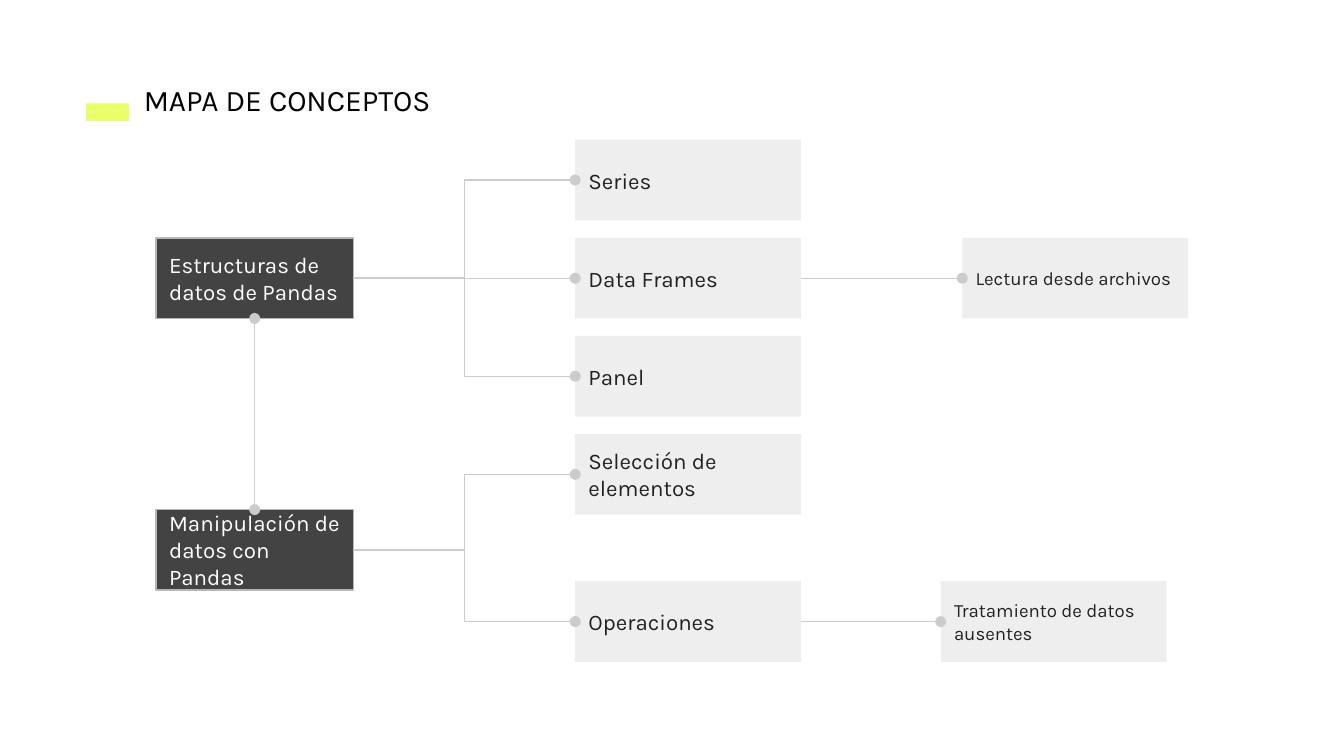
from collections import namedtuple

from lxml import etree
from pptx import Presentation
from pptx.dml.color import RGBColor
from pptx.enum import shapes, text
from pptx.oxml import ns
from pptx import util as u

Box = namedtuple("Box", "left top width height")

COLORS = {
    "accent": "EAFF6A",
    "title": "000000",
    "root": "434343",
    "root_line": "B7B7B7",
    "root_text": "FFFFFF",
    "node": "EEEEEE",
    "node_text": "222222",
    "link": "CCCCCC",
}
FONT = "Karla"
SLIDE_WIDTH = 10
SLIDE_HEIGHT = SLIDE_WIDTH * 9 / 16
HEADER = Box(0.64, 0.51, 3.02, 0.47)
MAP = Box(1.16, 1.04, 7.68, 3.88)
ROW_STEP = 0.73
NODE_HEIGHT = 0.6
ROOT_WIDTH, NODE_WIDTH = 1.47, 1.68
ROOT_COLUMN, TOPIC_COLUMN = 0, 3.12
TOP, LEFT, BOTTOM, RIGHT = range(4)

BRANCHES = [
    ("Estructuras de datos de Pandas", 1,
     [("Series", 0), ("Data Frames", 1), ("Panel", 2)]),
    ("Manipulación de datos con Pandas", 3.77,
     [("Selección de elementos", 3), ("Operaciones", 4.5)]),
]
DETAILS = [
    ("Data Frames", "Lectura desde archivos", 6, 1),
    ("Operaciones", "Tratamiento de datos ausentes", 5.84, 4.5),
]


def color(name):
    """Return the palette colour with this name."""
    return RGBColor.from_string(COLORS[name])


def place(shape, box):
    """Move and size a shape to a box in inches."""
    shape.left, shape.top, shape.width, shape.height = map(u.Inches, box)


def write(shape, words, size, ink, anchor=text.MSO_ANCHOR.MIDDLE):
    """Write one left-aligned paragraph into a shape."""
    frame = shape.text_frame
    frame.word_wrap = True
    frame.vertical_anchor = anchor
    frame.margin_left = frame.margin_right = u.Inches(0.1)
    frame.margin_top = frame.margin_bottom = u.Inches(0.1)
    para = frame.paragraphs[0]
    para.alignment = text.PP_ALIGN.LEFT
    span = para.add_run()
    span.text = words
    span.font.name = FONT
    span.font.size = u.Pt(size)
    span.font.color.rgb = color(ink)


def add_block(page, box, fill, line=None):
    """Add a flat rectangle with an optional outline."""
    block = page.shapes.add_shape(shapes.MSO_SHAPE.RECTANGLE, *map(u.Inches, box))
    block.shadow.inherit = False
    block.fill.solid()
    block.fill.fore_color.rgb = color(fill)
    if line:
        block.line.color.rgb = color(line)
        block.line.width = u.Pt(0.75)
    else:
        block.line.fill.background()
    return block


def add_link(page, start, start_site, end, end_site, kind, ends=("tailEnd",)):
    """Join two blocks with a line that has round ends."""
    link = page.shapes.add_connector(kind, 0, 0, 0, 0)
    link.begin_connect(start, start_site)
    link.end_connect(end, end_site)
    link.line.color.rgb = color("link")
    link.line.width = u.Pt(0.75)
    outline = link.line._get_or_add_ln()
    for end_name in ends:
        etree.SubElement(outline, ns.qn(f"a:{end_name}"), type="oval")
    etree.SubElement(link._element.spPr, ns.qn("a:effectLst"))


def draw_header(page, box):
    """Place the accent bar and the title."""
    add_block(page, Box(box.left, box.top + 0.26, 0.32, 0.13), "accent")
    title = page.shapes.title
    place(title, Box(box.left + 0.33, box.top, box.width - 0.33, box.height))
    write(title, "MAPA DE CONCEPTOS", 16, "title", text.MSO_ANCHOR.TOP)
    title.text_frame.auto_size = text.MSO_AUTO_SIZE.SHAPE_TO_FIT_TEXT


def draw_map(page, box):
    """Place the roots, topics and details of the map and link them."""
    elbow = shapes.MSO_CONNECTOR.ELBOW

    def add_node(words, column, row, size=12, root=False):
        """Add one labelled block at a column offset and grid row."""
        area = Box(box.left + column, box.top + row * ROW_STEP,
                   ROOT_WIDTH if root else NODE_WIDTH, NODE_HEIGHT)
        style = ("root", "root_line") if root else ("node",)
        node = add_block(page, area, *style)
        write(node, words, size, "root_text" if root else "node_text")
        return node

    roots, topics = [], {}
    for root_words, root_row, children in BRANCHES:
        root = add_node(root_words, ROOT_COLUMN, root_row, root=True)
        roots.append(root)
        for words, row in children:
            topics[words] = add_node(words, TOPIC_COLUMN, row)
            add_link(page, root, RIGHT, topics[words], LEFT, elbow)
    for topic, words, column, row in DETAILS:
        detail = add_node(words, column, row, size=10)
        add_link(page, topics[topic], RIGHT, detail, LEFT, elbow)
    upper, lower = roots
    add_link(page, lower, TOP, upper, BOTTOM, shapes.MSO_CONNECTOR.STRAIGHT,
             ends=("headEnd", "tailEnd"))


def main():
    """Build the deck and save it."""
    deck = Presentation()
    deck.slide_width = u.Inches(SLIDE_WIDTH)
    deck.slide_height = u.Inches(SLIDE_HEIGHT)
    page = deck.slides.add_slide(deck.slide_layouts[5])
    draw_header(page, HEADER)
    draw_map(page, MAP)
    deck.save("out.pptx")


if __name__ == "__main__":
    main()
